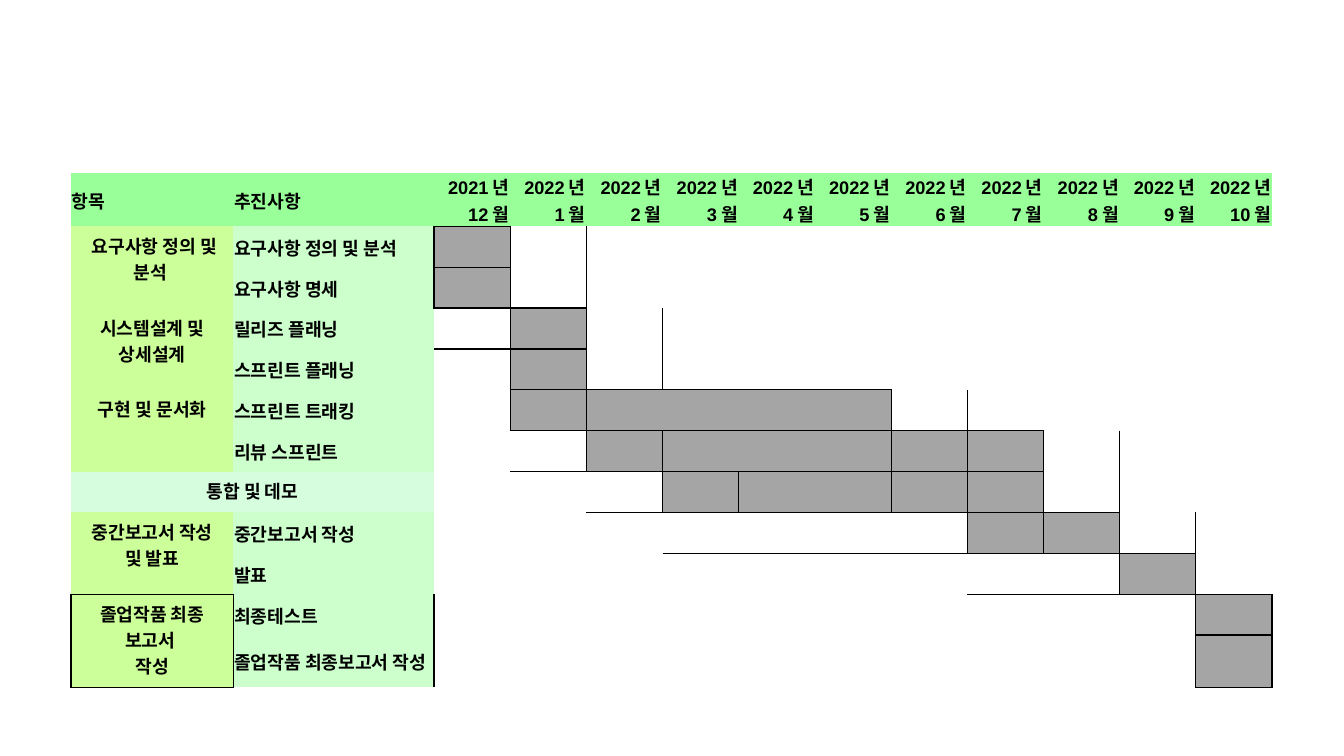
from collections import defaultdict
from dataclasses import dataclass

from lxml import etree
from pptx import Presentation
from pptx import util as u
from pptx.dml.color import RGBColor
from pptx.enum import text as t
from pptx.oxml import ns

BLACK = RGBColor(0x00, 0x00, 0x00)
HEADER_GREEN = RGBColor(0x99, 0xFF, 0x99)
ITEM_GREEN = RGBColor(0xCC, 0xFF, 0x99)
TASK_GREEN = RGBColor(0xCC, 0xFF, 0xCC)
DEMO_GREEN = RGBColor(0xD6, 0xFE, 0xDE)
BAR_GRAY = RGBColor(0xA5, 0xA5, 0xA5)

NO_STYLE = "{2D5ABB26-0587-4C30-8999-92F81FD0307C}"
NARROW = (0.72, 0.72, 0.72, 0)
WIDE = (8.64, 4.32, 8.64, 4.32)
FIRST_MONTH = 2
MONTHS = ["2021년 12월"] + [f"2022년 {month}월" for month in range(1, 11)]
COLUMN_WIDTHS = [115.9, 143.4] + [54.45] * len(MONTHS)
ROW_HEIGHTS = [36, 21.6, 21.6, 21.6, 22.3, 20.2, 20.2, 27.4, 21.6, 21.6, 21.6, 37.4]
NEIGHBOURS = {"L": (0, -1, "R"), "R": (0, 1, "L"), "T": (-1, 0, "B"), "B": (1, 0, "T")}


@dataclass
class Item:
    row: int
    label: str
    rows: int = 2
    columns: int = 1
    color: RGBColor = ITEM_GREEN


@dataclass
class Bar:
    row: int
    start: int
    end: int
    rows: int = 1
    sides: str = "LRTB"


ITEMS = [
    Item(1, " 요구사항 정의 및 분석 "),
    Item(3, "시스템설계 및 상세설계"),
    Item(5, "구현 및 문서화"),
    Item(7, "통합 및 데모", rows=1, columns=2, color=DEMO_GREEN),
    Item(8, "중간보고서 작성 및 발표"),
    Item(10, "졸업작품 최종 보고서 \v작성"),
]
TASKS = {
    1: "요구사항 정의 및 분석",
    2: "요구사항 명세",
    3: "릴리즈 플래닝",
    4: "스프린트 플래닝",
    5: "스프린트 트래킹",
    6: "리뷰 스프린트",
    8: "중간보고서 작성",
    9: "발표",
    10: "최종테스트",
    11: "졸업작품 최종보고서 작성",
}
BARS = [
    Bar(1, 0, 0),
    Bar(2, 0, 0),
    Bar(3, 1, 1),
    Bar(4, 1, 1),
    Bar(5, 1, 5),
    Bar(6, 2, 5),
    Bar(6, 6, 7),
    Bar(7, 3, 5),
    Bar(7, 6, 7),
    Bar(8, 7, 8),
    Bar(9, 9, 9, sides="LRT"),
    Bar(10, 10, 10, rows=2),
]

borders: dict[tuple[int, int], set[str]] = defaultdict(set)


def outline(rows: range, columns: range, sides: str = "LRTB") -> None:
    for row in rows:
        for column in columns:
            for side in sides:
                down, right, opposite = NEIGHBOURS[side]
                other = (row + down, column + right)
                if other[0] in rows and other[1] in columns:
                    continue
                borders[row, column].add(side)
                if other[0] in range(len(ROW_HEIGHTS)) and other[1] in range(len(COLUMN_WIDTHS)):
                    borders[other].add(opposite)


def draw_borders(cell, sides: set[str]) -> None:
    properties = cell._tc.get_or_add_tcPr()
    for side in "LRTB":
        if side in sides:
            line = etree.SubElement(properties, ns.qn(f"a:ln{side}"), w=str(u.Pt(1)))
            fill = etree.SubElement(line, ns.qn("a:solidFill"))
            etree.SubElement(fill, ns.qn("a:srgbClr"), val=str(BLACK))


def fill_cell(cell, color: RGBColor) -> None:
    cell.fill.solid()
    cell.fill.fore_color.rgb = color


def write(cell, words: str, *, align=t.PP_ALIGN.LEFT, anchor=t.MSO_ANCHOR.MIDDLE,
          margins=NARROW, size: float = 13) -> None:
    cell.vertical_anchor = anchor
    cell.margin_left, cell.margin_top, cell.margin_right, cell.margin_bottom = map(u.Pt, margins)
    paragraph = cell.text_frame.paragraphs[0]
    paragraph.text = words
    paragraph.alignment = align
    for run in paragraph.runs:
        run.font.name = "Arial"
        run.font.size = u.Pt(size)
        run.font.bold = True
        run.font.color.rgb = BLACK


presentation = Presentation()
presentation.slide_width, presentation.slide_height = u.Pt(960), u.Pt(540)
slide = presentation.slides.add_slide(presentation.slide_layouts[6])
frame = slide.shapes.add_table(
    len(ROW_HEIGHTS), len(COLUMN_WIDTHS), u.Pt(50.7), u.Pt(123.5),
    u.Pt(sum(COLUMN_WIDTHS)), u.Pt(335.5))
schedule = frame.table
schedule.first_row = schedule.horz_banding = False
next(frame.element.iter(ns.qn("a:tableStyleId"))).text = NO_STYLE
for column, width in zip(schedule.columns, COLUMN_WIDTHS):
    column.width = u.Pt(width)
for row, height in zip(schedule.rows, ROW_HEIGHTS):
    row.height = u.Pt(height)

for bar in BARS:
    outline(range(bar.row, bar.row + bar.rows),
            range(FIRST_MONTH + bar.start, FIRST_MONTH + bar.end + 1), bar.sides)
outline(range(10, 12), range(1))
borders[10, 0].add("B")
for position, sides in borders.items():
    draw_borders(schedule.cell(*position), sides)

for column, heading in enumerate(["항목", "추진사항"] + MONTHS):
    cell = schedule.cell(0, column)
    write(cell, heading, align=t.PP_ALIGN.RIGHT if column >= FIRST_MONTH else t.PP_ALIGN.LEFT)
    fill_cell(cell, HEADER_GREEN)
for row, task in TASKS.items():
    write(schedule.cell(row, 1), task)
    fill_cell(schedule.cell(row, 1), TASK_GREEN)
for item in ITEMS:
    cell = schedule.cell(item.row, 0)
    cell.merge(schedule.cell(item.row + item.rows - 1, item.columns - 1))
    write(cell, item.label, align=t.PP_ALIGN.CENTER, anchor=t.MSO_ANCHOR.TOP, margins=WIDE)
    fill_cell(cell, item.color)
for bar in BARS:
    for row in range(bar.row, bar.row + bar.rows):
        for month in range(bar.start, bar.end + 1):
            fill_cell(schedule.cell(row, FIRST_MONTH + month), BAR_GRAY)

presentation.save("out.pptx")
